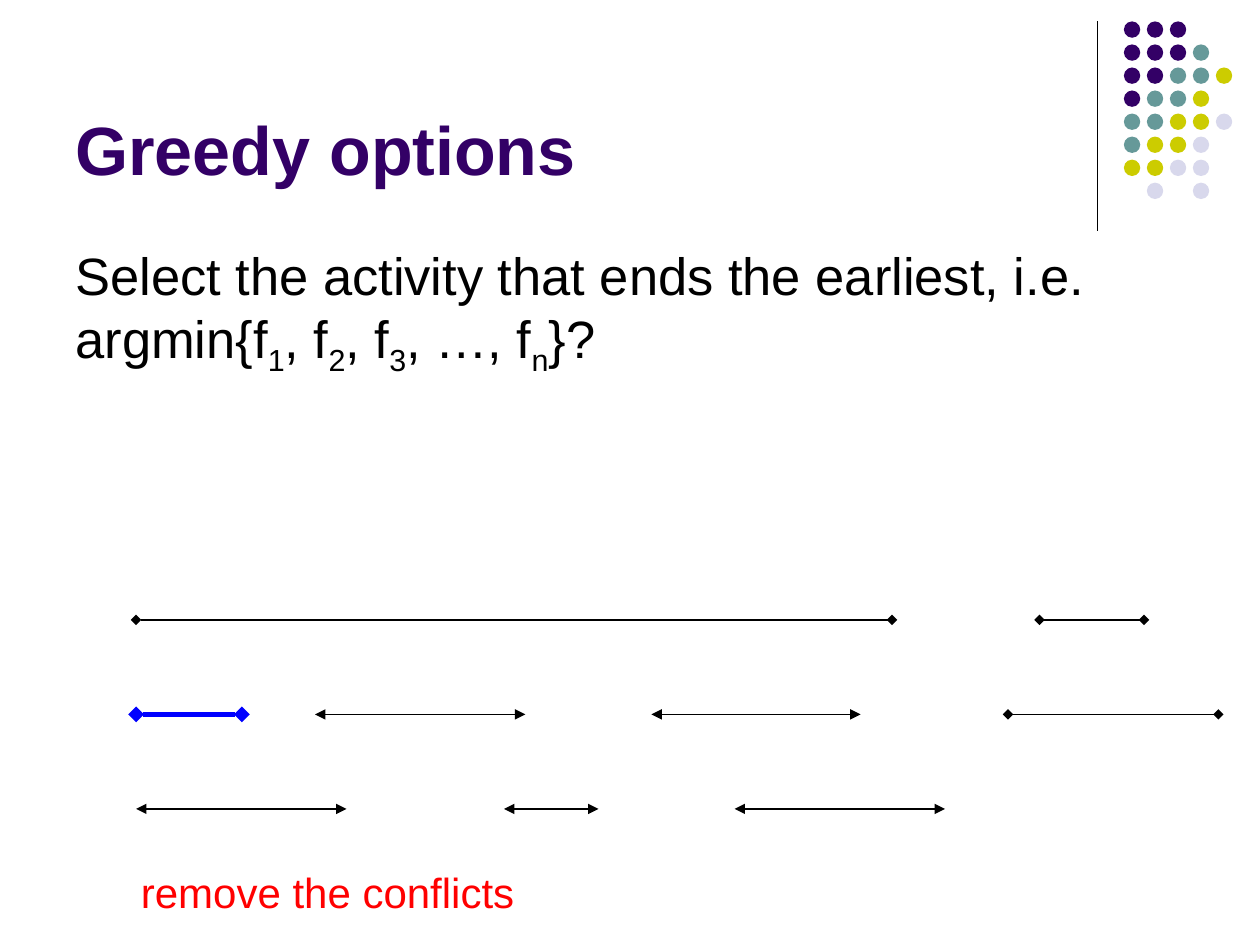
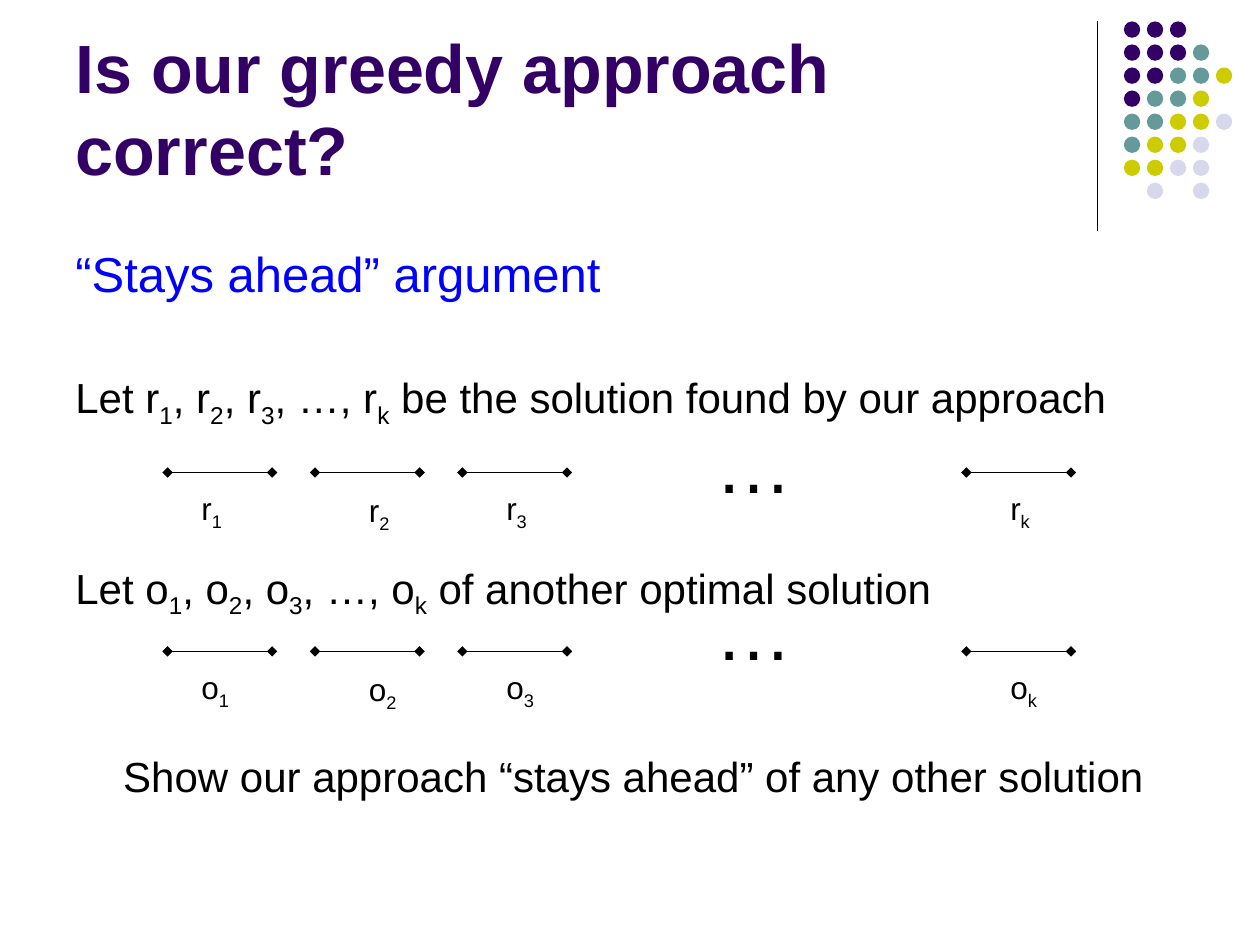
import pptx
import pptx.util
import pptx.dml.color
import pptx.enum.shapes
import pptx.enum.text
import lxml.etree
from pptx.oxml.ns import qn

Inches, Pt = pptx.util.Inches, pptx.util.Pt
RGBColor = pptx.dml.color.RGBColor
ANCHOR = pptx.enum.text.MSO_ANCHOR

FONT = "Arial"
BLACK = RGBColor(0x00, 0x00, 0x00)
BLUE = RGBColor(0x00, 0x00, 0xFF)
RED = RGBColor(0xFF, 0x00, 0x00)
PURPLE = RGBColor(0x33, 0x00, 0x66)
TEAL = RGBColor(0x66, 0x99, 0x99)
OLIVE = RGBColor(0xCC, 0xCC, 0x00)
LAVENDER = RGBColor(0xD8, 0xD8, 0xEC)

DOT_COLORS = {"P": PURPLE, "T": TEAL, "O": OLIVE, "L": LAVENDER}
DOT_ROWS = ["PPP", "PPPT", "PPTTO", "PTTO", "TTOOL", "TOOL", "OOLL", ".L.L"]
DOT_LEFT, DOT_TOP, DOT_SIZE = 8.92, 0.17, 0.13
DOT_PITCH_X, DOT_PITCH_Y = 0.73 / 4, 1.28 / 7

OPTIONS_TITLE = "Greedy options"
OPTIONS_TEXT = "Select the activity that ends the earliest, i.e. argmin{f_1, f_2, f_3, …, f_n}?"
OPTIONS_NOTE = "remove the conflicts"
ACTIVITIES = [
    (1.08, 7.08, 4.92, "diamond", BLACK, 0.75),
    (8.25, 9.08, 4.92, "diamond", BLACK, 0.75),
    (1.08, 1.92, 5.67, "diamond", BLUE, 3),
    (2.5, 4.17, 5.67, "triangle", BLACK, 0.75),
    (5.17, 6.83, 5.67, "triangle", BLACK, 0.75),
    (8, 9.67, 5.67, "diamond", BLACK, 0.75),
    (1.08, 2.75, 6.42, "triangle", BLACK, 0.75),
    (4, 4.75, 6.42, "triangle", BLACK, 0.75),
    (5.83, 7.5, 6.42, "triangle", BLACK, 0.75),
]

PROOF_TITLE = "Is our greedy approach correct?"
PROOF_TEXT = [
    ("“Stays ahead” argument", dict(size=28, color=BLUE)),
    ("Let r_1, r_2, r_3, …, r_k be the solution found by our approach", dict(before=40)),
    ("Let o_1, o_2, o_3, …, o_k of another optimal solution", dict(before=76)),
    ("Show our approach “stays ahead” of any other solution", dict(before=75, indent=0.38)),
]
SOLUTIONS = [("r", 3.75, 3.25), ("o", 5.17, 4.58)]
INTERVALS = [("1", 1.33, 1.5, 0.08), ("2", 2.5, 2.83, 0.1),
             ("3", 3.67, 3.92, 0.08), ("k", 7.67, 7.92, 0.08)]
INTERVAL_LENGTH = 0.83


def write(p, text, size=24, color=BLACK, bold=False, before=0, indent=0):
    p.space_before = Pt(before)
    if indent:
        p._p.get_or_add_pPr().set("marL", str(Inches(indent)))
    first, *rest = text.split("_")
    pieces = [(first, False)]
    for part in rest:
        pieces += [(part[0], True), (part[1:], False)]
    for piece, lowered in pieces:
        if not piece:
            continue
        r = p.add_run()
        r.text = piece
        r.font.name, r.font.size, r.font.bold = FONT, Pt(size), bold
        r.font.color.rgb = color
        if lowered:
            r._r.get_or_add_rPr().set("baseline", "-25000")


def add_text(s, box, paragraphs, anchor=ANCHOR.TOP):
    tf = s.shapes.add_textbox(*map(Inches, box)).text_frame
    tf.word_wrap = True
    tf.vertical_anchor = anchor
    for i, (text, style) in enumerate(paragraphs):
        write(tf.add_paragraph() if i else tf.paragraphs[0], text, **style)


def add_line(s, x1, y1, x2, y2, ends=None, color=BLACK, width=0.75):
    line = s.shapes.add_connector(pptx.enum.shapes.MSO_CONNECTOR.STRAIGHT,
                                  *map(Inches, (x1, y1, x2, y2)))
    line.line.color.rgb = color
    line.line.width = Pt(width)
    if ends:
        ln = line.line._get_or_add_ln()
        for tag in ("a:headEnd", "a:tailEnd"):
            lxml.etree.SubElement(ln, qn(tag)).set("type", ends)
    lxml.etree.SubElement(line._element.spPr, qn("a:effectLst"))


def add_slide(prs, title):
    s = prs.slides.add_slide(prs.slide_layouts[6])
    add_line(s, 8.71, 0.17, 8.71, 1.83)
    for row, codes in enumerate(DOT_ROWS):
        for col, code in enumerate(codes):
            if code == ".":
                continue
            sp = s.shapes.add_shape(
                pptx.enum.shapes.MSO_SHAPE.OVAL,
                Inches(DOT_LEFT + col * DOT_PITCH_X), Inches(DOT_TOP + row * DOT_PITCH_Y),
                Inches(DOT_SIZE), Inches(DOT_SIZE))
            sp.shadow.inherit = False
            sp.fill.solid()
            sp.fill.fore_color.rgb = DOT_COLORS[code]
            sp.line.fill.background()
    add_text(s, (0.5, 0.13, 8.25, 1.42),
             [(title, dict(size=39, color=PURPLE, bold=True))], ANCHOR.BOTTOM)
    return s


def options_slide(prs):
    s = add_slide(prs, OPTIONS_TITLE)
    add_text(s, (0.5, 1.88, 9, 1.87), [(OPTIONS_TEXT, dict(size=30))])
    for start, finish, y, ends, color, width in ACTIVITIES:
        add_line(s, start, y, finish, y, ends, color, width)
    add_text(s, (1.02, 6.83, 3.4, 0.5), [(OPTIONS_NOTE, dict(color=RED))])


def proof_slide(prs):
    s = add_slide(prs, PROOF_TITLE)
    add_text(s, (0.5, 1.88, 9, 5.29), PROOF_TEXT)
    for name, y, dots_top in SOLUTIONS:
        add_text(s, (5.58, dots_top, 1.08, 0.84), [("…", dict(size=44))], ANCHOR.MIDDLE)
        for index, start, label_left, drop in INTERVALS:
            add_line(s, start, y, start + INTERVAL_LENGTH, y, "diamond")
            add_text(s, (label_left, y + drop, 0.5, 0.44),
                     [(f"{name}_{index}", dict(size=18))], ANCHOR.MIDDLE)


def main():
    prs = pptx.Presentation()
    prs.slide_width, prs.slide_height = Inches(10), Inches(7.5)
    options_slide(prs)
    proof_slide(prs)
    prs.save("out.pptx")


if __name__ == "__main__":
    main()
